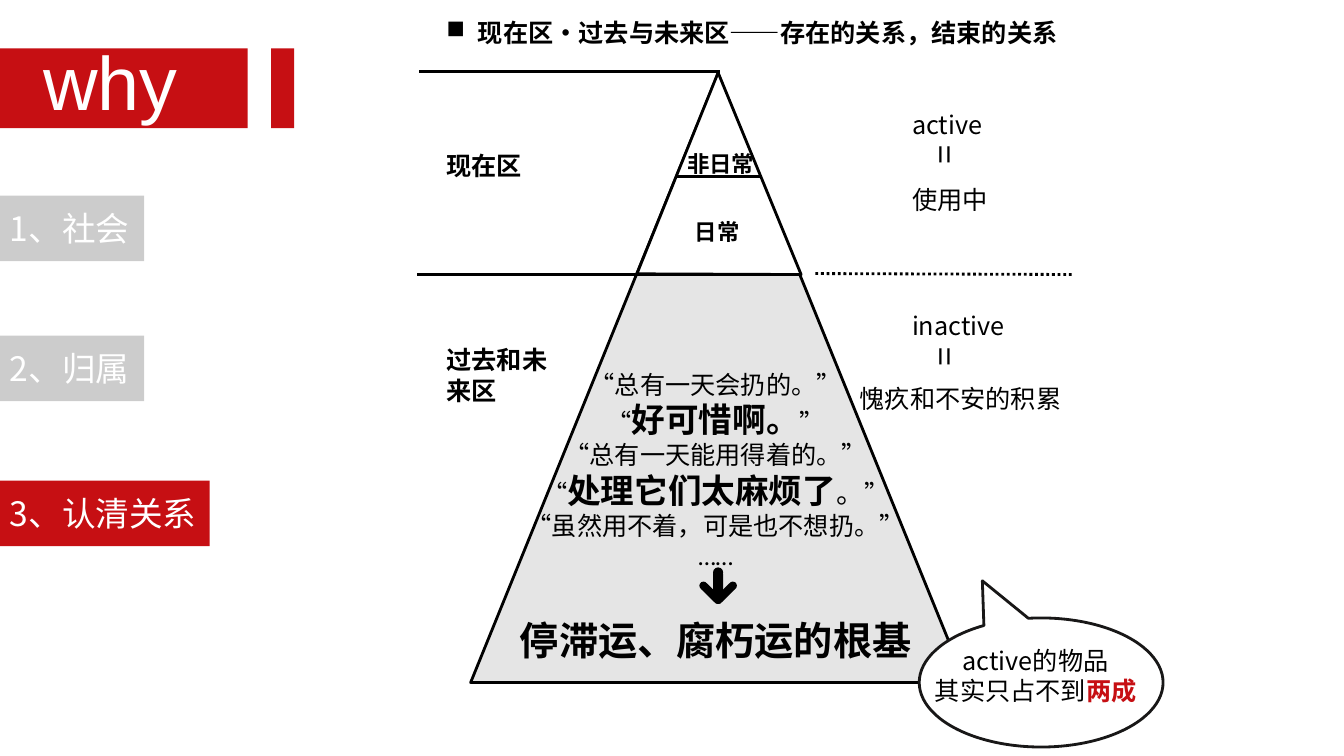
import math

import lxml.etree
import pptx
import pptx.dml.color
import pptx.enum.dml
import pptx.enum.shapes
import pptx.enum.text
import pptx.oxml.ns
import pptx.util

Pt = pptx.util.Pt
qn = pptx.oxml.ns.qn
KIND = pptx.enum.shapes.MSO_SHAPE
COLORS = {"red": "C60F13", "black": "000000", "white": "FFFFFF", "gray": "808080", "ink": "181717"}
SANS = "Noto Sans CJK SC"
PLAIN = {"size": Pt(18), "name": SANS, "bold": False}
BOLD = {**PLAIN, "bold": True}
LABEL = {**BOLD, "size": Pt(16)}
LOUD = {**BOLD, "size": Pt(24)}
EQUALS = {**PLAIN, "size": Pt(24)}
ROOT = {**BOLD, "size": Pt(28)}


def color(name):
    return pptx.dml.color.RGBColor.from_string(COLORS[name])


def paint(shape, fill, opacity=100, line=None):
    shape.shadow.inherit = False
    shape.fill.solid()
    shape.fill.fore_color.rgb = color(fill)
    if opacity < 100:
        tint = shape.fill._xPr.find(qn("a:solidFill"))[0]
        lxml.etree.SubElement(tint, qn("a:alpha"), val=str(opacity * 1000))
    if line:
        shape.line.color.rgb = color(line)
        shape.line.width = Pt(2)
    else:
        shape.line.fill.background()


def add_block(slide, kind, box, fill, opacity=100, line=None, rotation=0):
    block = slide.shapes.add_shape(kind, *map(Pt, box))
    paint(block, fill, opacity, line)
    block.rotation = rotation
    return block


def add_rule(slide, start, end, dash=None):
    rule = slide.shapes.add_connector(pptx.enum.shapes.MSO_CONNECTOR.STRAIGHT, *map(Pt, start + end))
    rule.line.color.rgb = color("black")
    rule.line.width = Pt(2)
    rule.line.dash_style = dash
    lxml.etree.SubElement(rule._element.spPr, qn("a:effectLst"))


def add_text(slide, box, paragraphs, ink="black", centered=False, rotation=0, bullet=None):
    words = slide.shapes.add_textbox(*map(Pt, box))
    words.rotation = rotation
    frame = words.text_frame
    frame.word_wrap = True
    frame.auto_size = pptx.enum.text.MSO_AUTO_SIZE.SHAPE_TO_FIT_TEXT
    for index, runs in enumerate(paragraphs):
        paragraph = frame.paragraphs[0] if index == 0 else frame.add_paragraph()
        if centered:
            paragraph.alignment = pptx.enum.text.PP_ALIGN.CENTER
        if bullet:
            properties = paragraph._p.get_or_add_pPr()
            properties.set("marL", str(Pt(22.5)))
            properties.set("indent", str(-Pt(22.5)))
            lxml.etree.SubElement(properties, qn("a:buChar"), char=bullet)
        for wording, style, *tone in runs:
            run = paragraph.add_run()
            run.text = wording
            run.font.color.rgb = color(tone[0] if tone else ink)
            for attribute, value in style.items():
                setattr(run.font, attribute, value)
            lxml.etree.SubElement(run._r.get_or_add_rPr(), qn("a:ea"), typeface=style["name"])
    return frame


def add_banner(slide, box):
    left, top, width, height = box
    add_block(slide, KIND.RECTANGLE, (left, top, 177, height), "red")
    add_block(slide, KIND.RECTANGLE, (left + width - 16.6, top, 16.6, height), "red")
    add_text(slide, (left + 23.8, top - 13, 140.4, 72.7),
             [[("why", {"size": Pt(54), "name": "Arial"})]], "white")


def add_menu_item(slide, box, wording, active):
    left, top, width, height = box
    add_block(slide, KIND.RECTANGLE, box, "red" if active else "black", 100 if active else 20)
    add_text(slide, (left, top + 5.5, width + 12, 36), [[(wording, EQUALS)]], "white")


def add_down_arrow(slide, box):
    left, top, width, height = box
    middle = left + width / 2
    strokes = [(middle, top + 12.5, 18, 7.2, 0),
               (middle + 5.4, top + 18, 14.4, 5.8, 45),
               (middle - 5.4, top + 18, 14.4, 5.8, -45)]
    for x, y, length, thick, angle in strokes:
        add_block(slide, KIND.ROUNDED_RECTANGLE, (x - thick / 2, y - length / 2, thick, length),
                  "black", rotation=angle)
        for side in (-1, 1):
            reach = side * length / 2
            tip_x = x + reach * math.sin(math.radians(angle))
            tip_y = y - reach * math.cos(math.radians(angle))
            add_block(slide, KIND.OVAL, (tip_x - thick / 2, tip_y - thick / 2, thick, thick), "black")


def add_pyramid(slide, box):
    left, top, width, height = box
    apex, split = left + width / 2, top + 143.5
    add_block(slide, KIND.ISOSCELES_TRIANGLE, box, "gray", 20, "black")
    peak = slide.shapes.build_freeform(Pt(apex), Pt(top - 0.7), 1.0)
    peak.add_line_segments([(Pt(apex - 58), Pt(split - 0.5)), (Pt(apex + 59.3), Pt(split))])
    paint(peak.convert_to_shape(), "white", line="black")
    add_rule(slide, (apex - 29.2, top + 73.4), (apex + 29.8, top + 73.4))
    add_rule(slide, (left - 36.7, top - 1.4), (apex + 1, top - 1.4))
    add_rule(slide, (left - 38.2, split), (apex + 58.7, split))
    add_rule(slide, (left + 246.2, split - 0.7), (left + 429.8, split),
             pptx.enum.dml.MSO_LINE.ROUND_DOT)
    add_text(slide, (apex - 29.2, top + 51, 85.7, 26.6), [[("非日常", LABEL)]])
    add_text(slide, (apex - 43.5, top + 99.4, 85.7, 26.6), [[("日常", LABEL)]], centered=True)
    excuses = add_text(slide, (left + 26, top + 207.4, 298, 220.3), [
        [("“总有一天会扔的。”", PLAIN)],
        [("“", PLAIN), ("好可惜啊。", LOUD), ("”", PLAIN)],
        [("“总有一天能用得着的。”", PLAIN)],
        [("“", PLAIN), ("处理它们太麻烦了", LOUD), ("。", {**PLAIN, "size": Pt(20)}), ("”", PLAIN)],
        [("“虽然用不着，可是也不想扔。”", PLAIN)],
        [("……", {**PLAIN, "name": "Calibri"})],
        [("停滞运、腐朽运的根基", ROOT)],
    ], centered=True)
    excuses.paragraphs[-1].space_before = Pt(33)
    add_down_arrow(slide, (apex - 13.3, top + 352.8, 26.6, 25.2))


def add_zone(slide, box, zone, zone_drop, state, meaning, meaning_shift, meaning_drop):
    left, top, width, height = box
    state_left = left + 332.6
    add_text(slide, (left, top + zone_drop, 97.2, 28.8), [[(zone, BOLD)]])
    add_text(slide, (state_left, top, 93, 28.8), [[(state, PLAIN)]])
    add_text(slide, (state_left + 15.8, top + 20.2, 31, 36), [[("=", EQUALS)]], rotation=90)
    meaning_left = state_left + meaning_shift
    add_text(slide, (meaning_left, top + meaning_drop, left + width - meaning_left, 28.8),
             [[(meaning, PLAIN)]])


def add_callout(slide, box):
    left, top, width, height = box
    bubble = add_block(slide, KIND.OVAL_CALLOUT, box, "white", line="ink")
    bubble.adjustments[0] = -0.241
    bubble.adjustments[1] = -0.788
    add_text(slide, (left, top + 15.8, width - 7.9, 51.1), [
        [("active的物品", PLAIN)],
        [("其实只占不到", PLAIN), ("两成", BOLD, "red")],
    ], centered=True)


def add_heading(slide, box):
    add_text(slide, box, [[("现在区•过去与未来区——存在的关系，结束的关系", BOLD)]], bullet="■")


def main():
    deck = pptx.Presentation()
    deck.slide_width, deck.slide_height = Pt(960), Pt(540)
    slide = deck.slides.add_slide(deck.slide_layouts[6])
    add_pyramid(slide, (336.2, 52.6, 353.5, 434.9))
    add_zone(slide, (311.8, 74.2, 493.9, 82.8), "现在区", 29.5, "active", "使用中", 0, 54)
    add_zone(slide, (311.8, 218.2, 493.9, 80.6), "过去和未来区", 24.5,
             "inactive", "愧疚和不安的积累", -37.4, 51.8)
    add_callout(slide, (656.6, 441.4, 174.2, 92.2))
    add_heading(slide, (311.8, 8.6, 487.4, 28.8))
    menu = [("1、社会", 139.7, 103, False),
            ("2、归属", 239.8, 103, False),
            ("3、认清关系", 343.4, 149.8, True)]
    for wording, top, width, active in menu:
        add_menu_item(slide, (0, top, width, 46.8), wording, active)
    add_banner(slide, (0, 34.6, 210.2, 56.9))
    deck.save("out.pptx")


if __name__ == "__main__":
    main()
